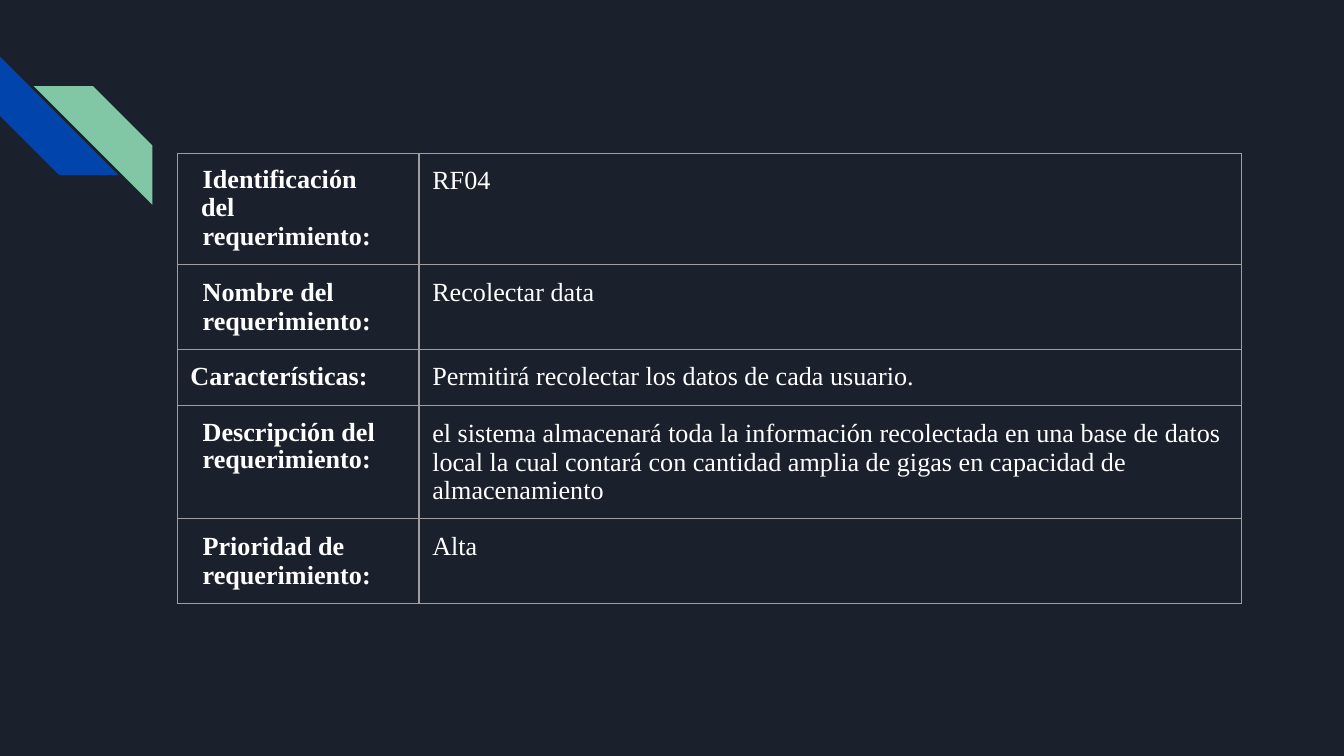
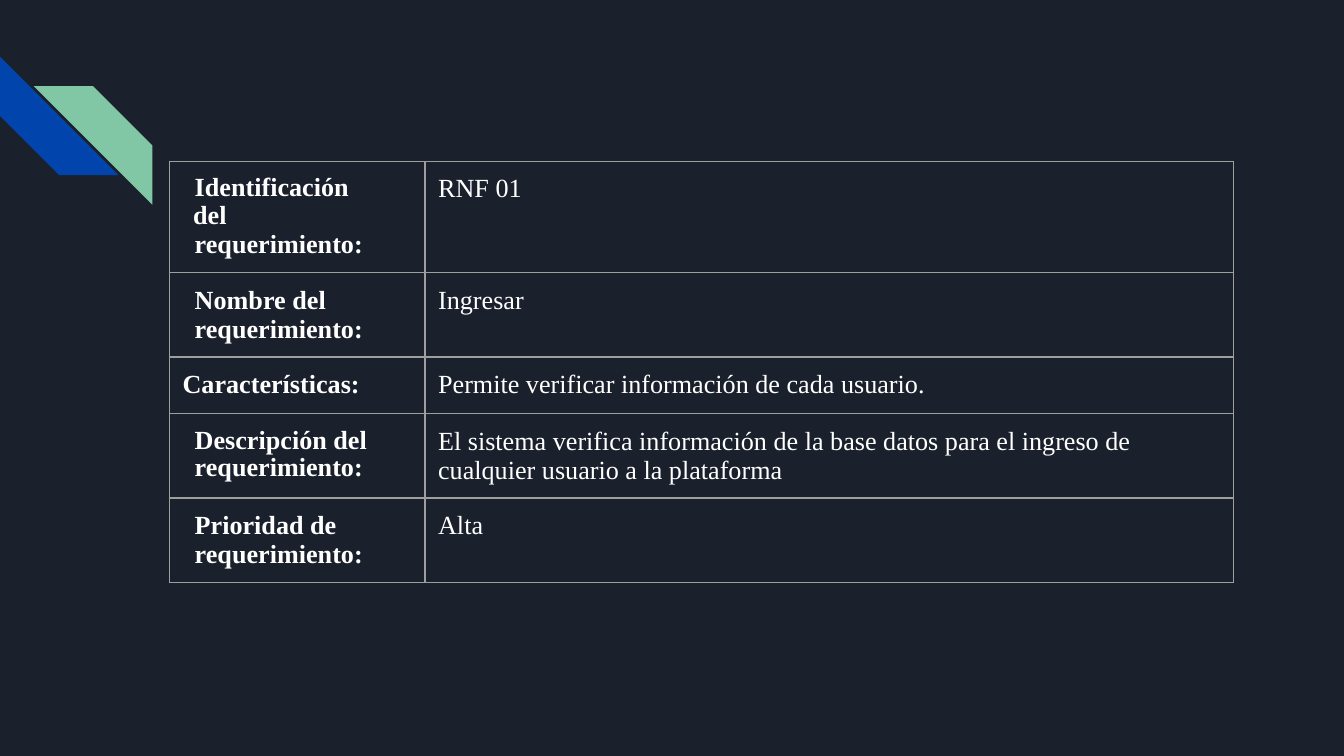
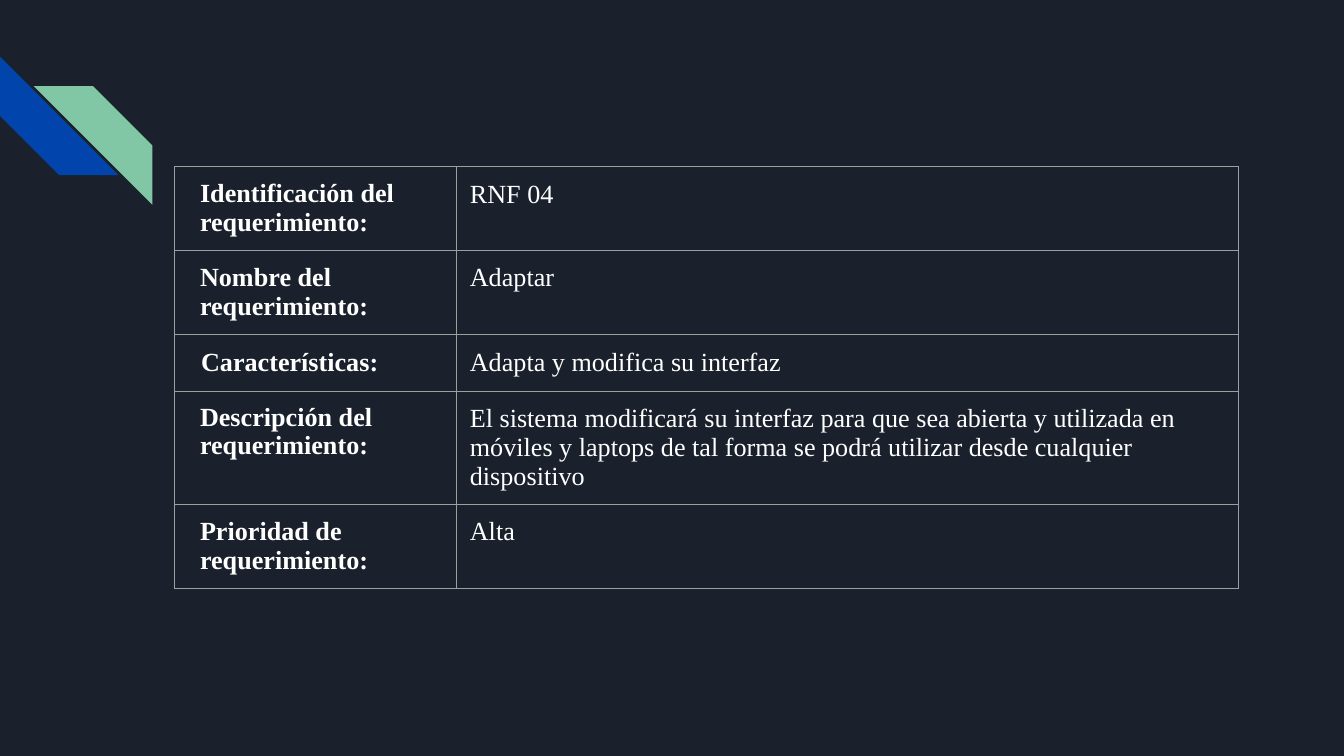
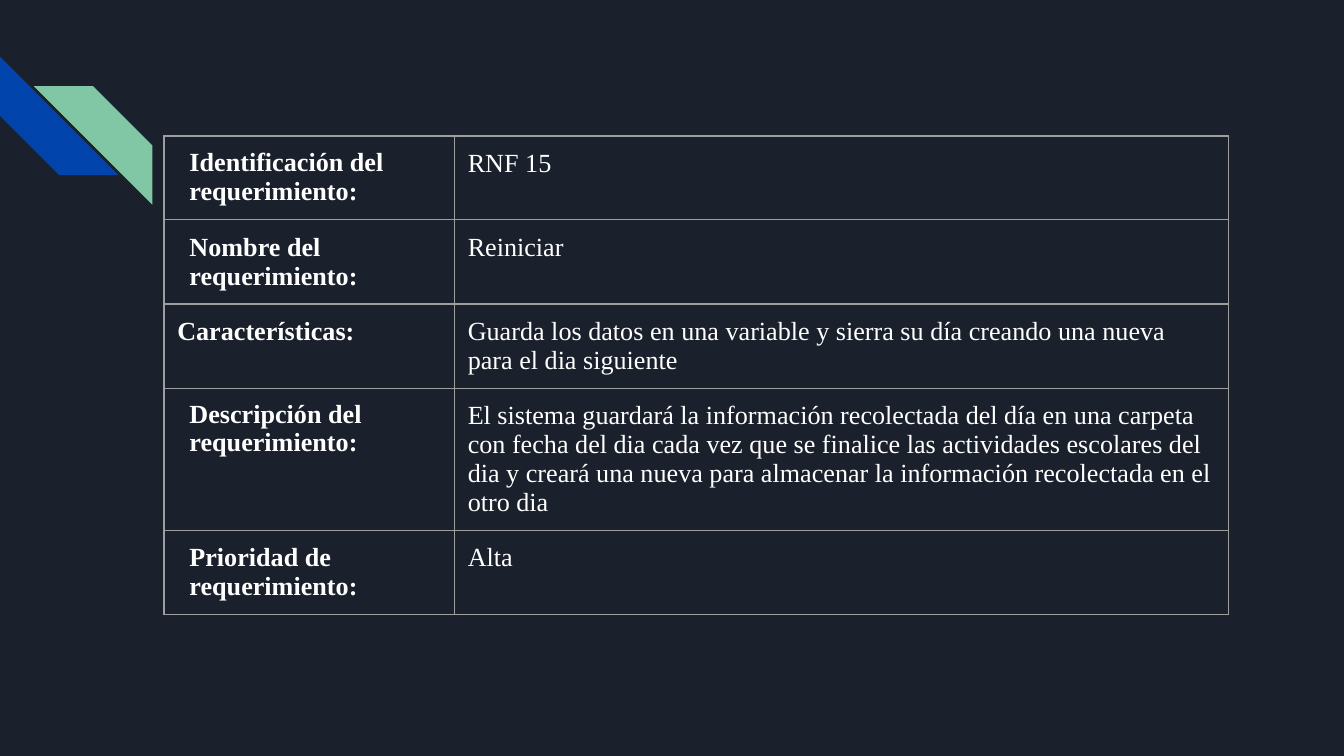
import dataclasses

import lxml.etree
import pptx
import pptx.dml.color
import pptx.enum.shapes
import pptx.oxml.ns
import pptx.util

Cm = pptx.util.Cm
qn = pptx.oxml.ns.qn

BACKGROUND = "1B212C"
BLUE = "0145AC"
GREEN = "82C7A5"
GRID = "9E9E9E"
WHITE = "FFFFFF"
FONT = "Times New Roman"

TABLE_WIDTH = 20.11
ROW_HEIGHT = 1.07
CELL_MARGIN = 0.25
STRIPE_SIZE = 2.24
INDENT = 0.23


@dataclasses.dataclass
class Stripe:
    left: float
    top: float
    color: str
    rotation: int = 0
    mirrored: bool = False


@dataclasses.dataclass
class Line:
    """One paragraph of a cell; indents in cm, space before in points."""
    text: str
    left: float = 0
    first: float = 0
    right: float = 0
    spacing: float | None = None
    before: float = 0


@dataclasses.dataclass
class Requirement:
    left: float
    top: float
    label_width: float
    code: str
    name: str
    features: str
    description: str
    priority: str = "Alta"
    features_indent: float = 0


STRIPES = [
    Stripe(0, 1.07, BLUE, rotation=270),
    Stripe(0.64, 1.63, GREEN, mirrored=True),
]

REQUIREMENTS = [
    Requirement(3.35, 2.9, 4.57, "RF04", "Recolectar data",
                "Permitirá recolectar los datos de cada usuario.",
                "el sistema almacenará toda la información recolectada en una base de "
                "datos local la cual contará con cantidad amplia de gigas en capacidad "
                "de almacenamiento"),
    Requirement(3.2, 3.05, 4.83, "RNF 01", "Ingresar",
                "Permite verificar información de cada usuario.",
                "El sistema verifica información de la base datos para el ingreso de "
                "cualquier usuario a la plataforma"),
    Requirement(3.3, 3.15, 5.33, "RNF 04", "Adaptar",
                "Adapta y modifica su interfaz",
                "El sistema modificará su interfaz para que sea abierta y utilizada en "
                "móviles y laptops de tal forma se podrá utilizar desde cualquier "
                "dispositivo", features_indent=0.25),
    Requirement(3.1, 2.57, 5.49, "RNF 15", "Reiniciar",
                "Guarda los datos en una variable y sierra su día creando una nueva "
                "para el dia siguiente",
                "El sistema guardará la información recolectada del día en una carpeta "
                "con fecha del dia cada vez que se finalice las actividades escolares "
                "del dia y creará una nueva para almacenar la información recolectada "
                "en el otro dia"),
]


def rgb(color: str) -> pptx.dml.color.RGBColor:
    return pptx.dml.color.RGBColor.from_string(color)


def draw_stripe(page, stripe: Stripe):
    shape = page.shapes.add_shape(
        pptx.enum.shapes.MSO_SHAPE.DIAGONAL_STRIPE,
        Cm(stripe.left), Cm(stripe.top), Cm(STRIPE_SIZE), Cm(STRIPE_SIZE))
    shape.adjustments[0] = 0.5
    shape.rotation = stripe.rotation
    shape.shadow.inherit = False
    shape.fill.solid()
    shape.fill.fore_color.rgb = rgb(stripe.color)
    shape.line.fill.background()
    if stripe.mirrored:
        shape.element.find(".//" + qn("a:xfrm")).set("flipH", "1")
    return shape


def add_stripes_to_layout(layout, page) -> None:
    """Draw the stripes on a page, then move them to the layout all pages share."""
    tree = layout.placeholders[0].element.getparent()
    for stripe in STRIPES:
        tree.append(draw_stripe(page, stripe).element)


def set_borders(cell, color: str, width: float) -> None:
    properties = cell._tc.get_or_add_tcPr()
    for index, side in enumerate(("lnL", "lnR", "lnT", "lnB")):
        line = lxml.etree.Element(qn("a:" + side), w=str(pptx.util.Pt(width)))
        fill = lxml.etree.SubElement(line, qn("a:solidFill"))
        lxml.etree.SubElement(fill, qn("a:srgbClr"), val=color)
        properties.insert(index, line)


def write_line(para, line: Line, *, bold: bool) -> None:
    properties = para._p.get_or_add_pPr()
    for name, value in (("marL", line.left), ("marR", line.right), ("indent", line.first)):
        properties.set(name, str(Cm(value)))
    if line.spacing:
        para.line_spacing = line.spacing
    para.space_before = pptx.util.Pt(line.before)
    span = para.add_run()
    span.text = line.text
    span.font.name = FONT
    span.font.size = pptx.util.Pt(14)
    span.font.bold = bold
    span.font.color.rgb = rgb(WHITE)


def fill_cell(cell, lines: list[Line], *, bold: bool = False) -> None:
    cell.margin_left = cell.margin_right = Cm(CELL_MARGIN)
    cell.margin_top = cell.margin_bottom = Cm(CELL_MARGIN)
    cell.fill.background()
    set_borders(cell, GRID, 0.75)
    frame = cell.text_frame
    for index, line in enumerate(lines):
        para = frame.add_paragraph() if index else frame.paragraphs[0]
        write_line(para, line, bold=bold)


def table_rows(item: Requirement) -> list[tuple[list[Line], str]]:
    """Pair the label of each row with its value."""
    second = Line("requerimiento:", INDENT)
    return [
        ([Line("Identificación del", 0.2, 0.03, right=0.64, spacing=0.96),
          dataclasses.replace(second, before=0.3)], item.code),
        ([Line("Nombre del", INDENT), second], item.name),
        ([Line("Características:", item.features_indent)], item.features),
        ([Line("Descripción del requerimiento:", INDENT, spacing=0.96)], item.description),
        ([Line("Prioridad de", INDENT), second], item.priority),
    ]


def add_requirement_table(page, item: Requirement) -> None:
    rows = table_rows(item)
    table = page.shapes.add_table(
        len(rows), 2, Cm(item.left), Cm(item.top),
        Cm(TABLE_WIDTH), Cm(ROW_HEIGHT * len(rows))).table
    table.first_row = table.horz_banding = False
    table.columns[0].width = Cm(item.label_width)
    table.columns[1].width = Cm(TABLE_WIDTH - item.label_width)
    for index, (label, value) in enumerate(rows):
        fill_cell(table.cell(index, 0), label, bold=True)
        fill_cell(table.cell(index, 1), [Line(value)])


def main() -> None:
    deck = pptx.Presentation()
    deck.slide_width, deck.slide_height = Cm(25.4), Cm(14.29)
    background = deck.slide_master.background.fill
    background.solid()
    background.fore_color.rgb = rgb(BACKGROUND)
    blank = deck.slide_layouts[6]
    pages = [deck.slides.add_slide(blank) for _ in REQUIREMENTS]
    add_stripes_to_layout(blank, pages[0])
    for page, item in zip(pages, REQUIREMENTS):
        add_requirement_table(page, item)
    deck.save("out.pptx")


if __name__ == "__main__":
    main()
